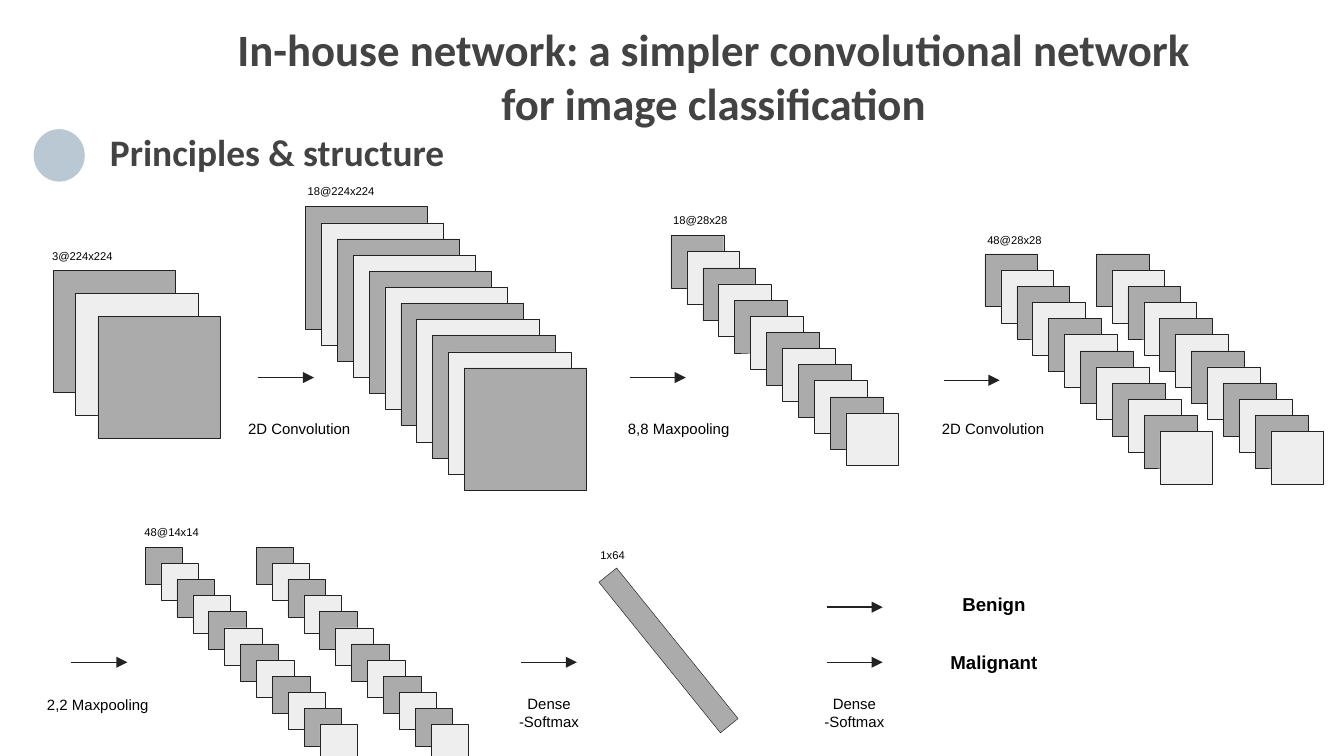
import pptx
import pptx.util
import pptx.dml.color
import pptx.enum.shapes
import pptx.enum.text
import pptx.oxml.ns
from lxml import etree

Pt = pptx.util.Pt
RGBColor = pptx.dml.color.RGBColor
MSO_SHAPE = pptx.enum.shapes.MSO_SHAPE
ALIGN = pptx.enum.text.PP_ALIGN
AUTO_SIZE = pptx.enum.text.MSO_AUTO_SIZE

DARK_TILE = RGBColor(0xAB, 0xAB, 0xAB)
LIGHT_TILE = RGBColor(0xEE, 0xEE, 0xEE)
OUTLINE = RGBColor(0x22, 0x22, 0x22)
BLACK = RGBColor(0, 0, 0)
HEADING = RGBColor(0x43, 0x43, 0x43)
BULLET = RGBColor(0xBA, 0xC8, 0xD3)

# Content: all lengths in points
TITLE = "In-house network: a simpler convolutional network for image classification"
SUBTITLE = "Principles & structure"

INPUT_STEP = (11.9, 12.2)
LAYER_STEP = (8.52, 8.64)
COLUMN_GAP = 59.5
# left, top, tile size, tiles per column, columns, step between tiles
STACKS = [
    (28.6, 144.9, 65.5, 3, 1, INPUT_STEP),
    (163.6, 110.7, 65.5, 11, 1, LAYER_STEP),
    (359.5, 126.2, 28.3, 12, 1, LAYER_STEP),
    (527.7, 136.1, 28.3, 12, 2, LAYER_STEP),
    (77.7, 293.1, 20.1, 12, 2, LAYER_STEP),
]
# text, left, top
SIZE_LABELS = [
    ("3@224x224", 20.8, 130.2),
    ("18@224x224", 157.7, 95.3),
    ("18@28x28", 353.5, 110.8),
    ("48@28x28", 521.8, 121.3),
    ("48@14x14", 70.3, 278),
    ("1x64", 314.6, 290.2),
]
# text, left, top, alignment
OPERATIONS = [
    ("2D Convolution", 125.8, 221.2, ALIGN.LEFT),
    ("8,8 Maxpooling", 329.3, 221.2, ALIGN.LEFT),
    ("2D Convolution", 497.5, 221.2, ALIGN.LEFT),
    ("2,2 Maxpooling", 18.1, 369, ALIGN.LEFT),
    ("Dense -Softmax", 259.2, 368.5, ALIGN.CENTER),
    ("Dense -Softmax", 422.8, 368.5, ALIGN.CENTER),
]
CLASSES = [("Benign", 497.5, 313.9), ("Malignant", 497.5, 344.9)]
ARROW_LENGTH = 30
ARROWS = [(138.2, 202.3), (337.4, 202.3), (505.5, 203.7), (38.3, 354.8),
          (279.1, 354.8), (442.9, 354.8), (442.9, 325.3)]

presentation = pptx.Presentation()
presentation.slide_width, presentation.slide_height = Pt(720), Pt(405)
slide = presentation.slides.add_slide(presentation.slide_layouts[6])


def add_shape(shapes, kind, left, top, width, height, fill, outline=None):
    shape = shapes.add_shape(kind, Pt(left), Pt(top), Pt(width), Pt(height))
    shape.shadow.inherit = False
    shape.fill.solid()
    shape.fill.fore_color.rgb = fill
    if outline is None:
        shape.line.fill.background()
    else:
        shape.line.color.rgb = outline
        shape.line.width = Pt(0.25)
    return shape


def add_text(text, left, top, width, height, size, font="Arial", color=BLACK,
             bold=False, align=ALIGN.LEFT, wrap=True, grow=False):
    box = slide.shapes.add_textbox(Pt(left), Pt(top), Pt(width), Pt(height))
    frame = box.text_frame
    frame.word_wrap = wrap
    if grow:
        frame.auto_size = AUTO_SIZE.SHAPE_TO_FIT_TEXT
    frame.text = text
    paragraph = frame.paragraphs[0]
    paragraph.alignment = align
    run_font = paragraph.runs[0].font
    run_font.name, run_font.size, run_font.bold = font, Pt(size), bold
    run_font.color.rgb = color
    return box


def add_arrow(left, y):
    arrow = slide.shapes.add_connector(
        pptx.enum.shapes.MSO_CONNECTOR.STRAIGHT,
        Pt(left), Pt(y), Pt(left + ARROW_LENGTH), Pt(y))
    arrow.line.color.rgb = OUTLINE
    arrow.line.width = Pt(0.75)
    qn = pptx.oxml.ns.qn
    etree.SubElement(arrow.line._get_or_add_ln(), qn("a:tailEnd"), type="triangle")
    etree.SubElement(arrow._element.spPr, qn("a:effectLst"))


# Feature map stacks, alternating dark and light tiles
for left, top, size, count, columns, (step_x, step_y) in STACKS:
    for column in range(columns):
        group = slide.shapes.add_group_shape()
        for i in range(count):
            add_shape(group.shapes, MSO_SHAPE.RECTANGLE,
                      left + column * COLUMN_GAP + i * step_x, top + i * step_y,
                      size, size, LIGHT_TILE if i % 2 else DARK_TILE, OUTLINE)

# Dense layer
dense_layer = add_shape(slide.shapes, MSO_SHAPE.RECTANGLE,
                        352.1, 296.6, 12.2, 103.7, DARK_TILE, OUTLINE)
dense_layer.rotation = 321.1

# Arrows and their captions
for left, y in ARROWS:
    add_arrow(left, y)
for text, left, top, align in OPERATIONS:
    add_text(text, left, top, 69.9, 36, 8, align=align)
for text, left, top in CLASSES:
    add_text(text, left, top, 69.9, 23.8, 10, bold=True, align=ALIGN.CENTER)
for text, left, top in SIZE_LABELS:
    add_text(text, left, top, 68.4, 14.4, 6, grow=True)

# Title and section heading
title = add_text(TITLE, 109.4, 4.3, 545.8, 74.2, 24, "Calibri", HEADING,
                 bold=True, align=ALIGN.CENTER)
title.text_frame.margin_top = title.text_frame.margin_bottom = Pt(7.2)
add_text(SUBTITLE, 51.8, 65.5, 207.4, 31.7, 20, "Calibri", HEADING,
         bold=True, wrap=False, grow=True)
add_shape(slide.shapes, MSO_SHAPE.OVAL, 18, 69.2, 27.4, 28.1, BULLET)

presentation.save("out.pptx")
